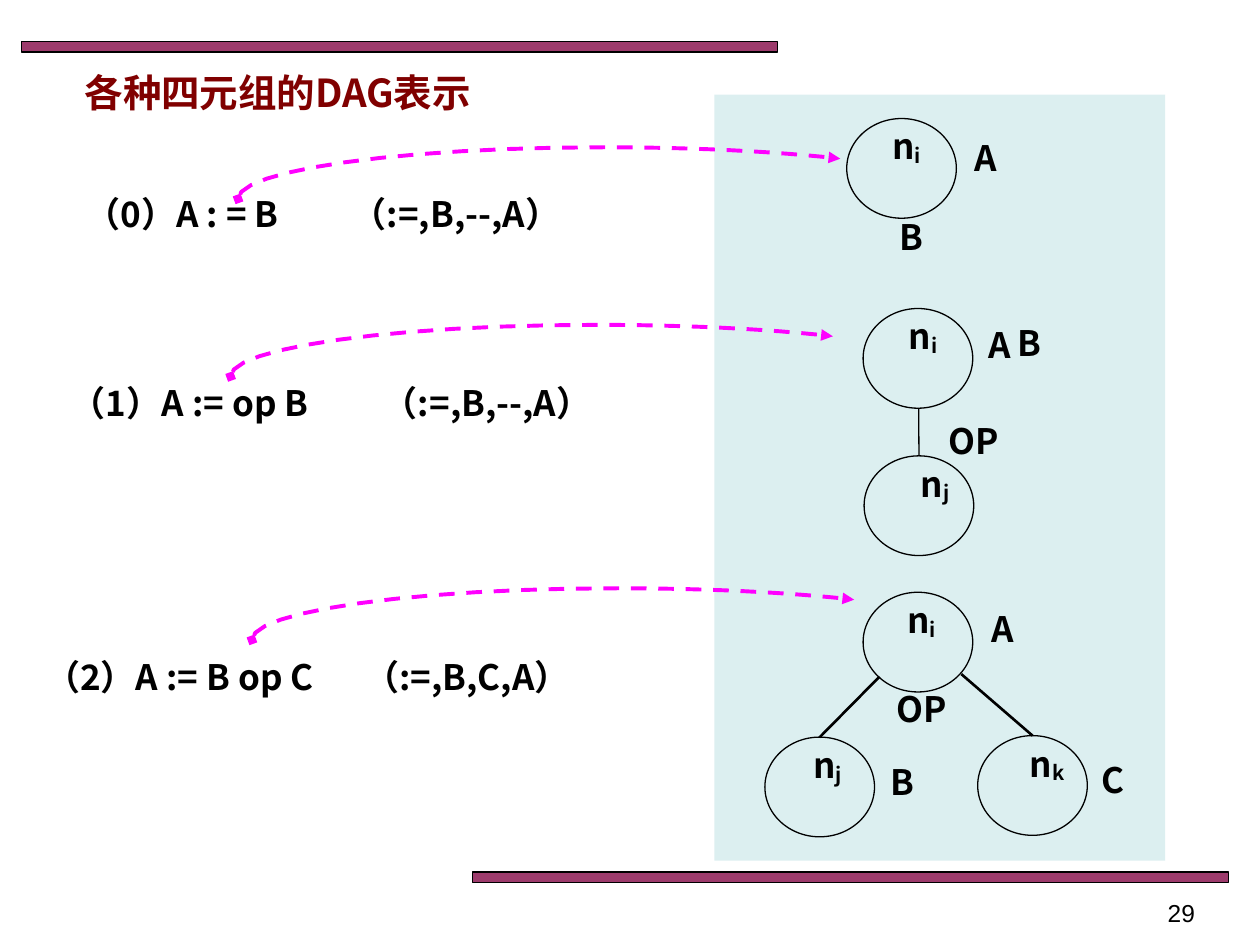
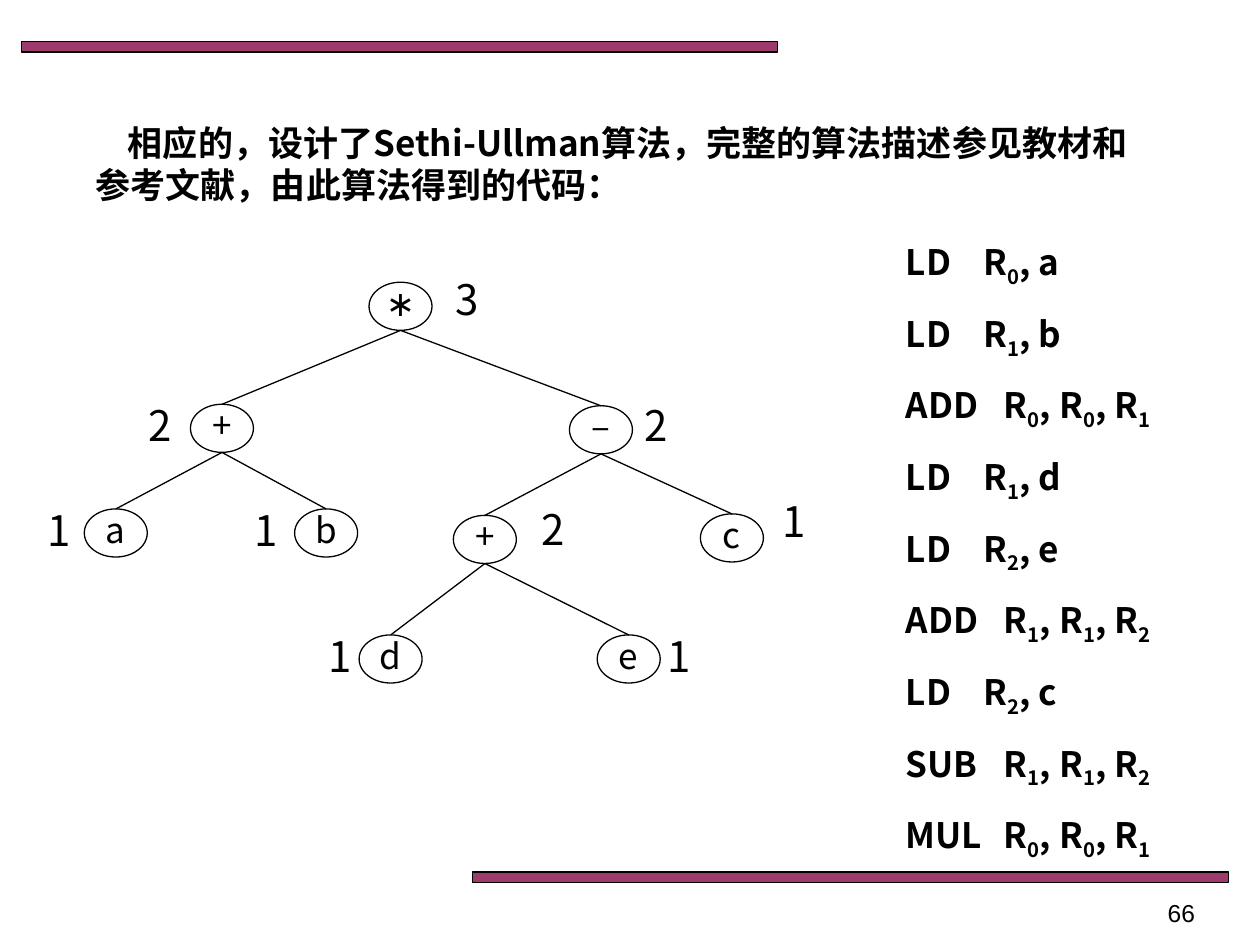
from dataclasses import dataclass
from typing import Optional

from lxml import etree
from pptx import Presentation
from pptx import util as u
from pptx.dml.color import RGBColor
from pptx.enum import dml, shapes, text
from pptx.oxml.ns import qn

FONT = "Noto Sans CJK SC"
BLACK, MAROON, PLUM = "000000", "800000", "993366"
PALE_TEAL, MAGENTA = "BBE0E3", "FF00FF"
LEFT, CENTER, RIGHT = text.PP_ALIGN.LEFT, text.PP_ALIGN.CENTER, text.PP_ALIGN.RIGHT
RECTANGLE, OVAL = shapes.MSO_SHAPE.RECTANGLE, shapes.MSO_SHAPE.OVAL
CURVE_STEPS = 12
CURVES = (
    ((0, 1.04), (0, 0.46), (3.3, 0), (7.37, 0)),
    ((7.37, 0), (9.12, 0), (10.8, 0.08), (12.14, 0.23)),
)


@dataclass
class Statement:
    code: str
    quadruple: str
    left: float
    top: float
    tab: float
    arrow_left: float
    arrow_top: float


@dataclass
class GraphNode:
    index: str
    left: float
    top: float
    symbol_center: float


@dataclass
class Label:
    words: str
    center: float
    top: float


@dataclass
class Edge:
    child: int
    start: tuple[float, float]
    width: float


@dataclass
class TreeNode:
    symbol: str
    left: float
    top: float
    weight: str
    weight_left: float
    weight_top: float
    parent: Optional[int] = None


STATEMENTS = [
    Statement("（0）A : = B", "（:=,B,--,A）", 1.73, 3.76, 5.36, 4.8, 2.97),
    Statement("（1）A := op B", "（:=,B,--,A）", 1.43, 7.57, 6.29, 4.65, 6.55),
    Statement("（2）A := B op C", "（:=,B,C,A）", 0.91, 13.08, 6.43, 5.08, 11.86),
]
GRAPH_NODES = [
    GraphNode("i", 17.07, 2.39, 18.28),
    GraphNode("i", 17.4, 6.22, 18.61),
    GraphNode("j", 17.42, 9.19, 18.85),
    GraphNode("i", 17.4, 11.94, 18.58),
    GraphNode("k", 19.71, 14.83, 21.11),
    GraphNode("j", 15.42, 14.86, 16.68),
]
LABELS = [
    Label("A", 19.88, 2.62),
    Label("B", 18.38, 4.22),
    Label("A", 20.15, 6.4),
    Label("B", 20.75, 6.35),
    Label("OP", 19.63, 8.33),
    Label("A", 20.21, 12.12),
    Label("OP", 18.59, 13.72),
    Label("B", 18.2, 15.21),
    Label("C", 22.44, 15.16),
]
EDGES = [
    Edge(2, (18.52, 8.23), 0.75),
    Edge(4, (19.38, 13.59), 1.5),
    Edge(5, (17.73, 13.64), 1.5),
]
TREE = [
    TreeNode("∗", 7.44, 5.69, "3", 8.94, 5.72),
    TreeNode("+", 3.84, 8.15, "2", 2.74, 8.26, 0),
    TreeNode("–", 11.48, 8.18, "2", 12.75, 8.26, 0),
    TreeNode("a", 1.7, 10.26, "1", 0.71, 10.36, 1),
    TreeNode("b", 5.94, 10.26, "1", 4.88, 10.36, 1),
    TreeNode("+", 9.14, 10.39, "2", 10.67, 10.34, 2),
    TreeNode("c", 14.12, 10.36, "1", 15.52, 10.19, 2),
    TreeNode("d", 7.24, 12.8, "1", 6.38, 12.9, 5),
    TreeNode("e", 12.04, 12.8, "1", 13.21, 12.9, 5),
]
INSTRUCTIONS = [
    ("LD", "R_0, a"),
    ("LD", "R_1, b"),
    ("ADD", "R_0, R_0, R_1"),
    ("LD", "R_1, d"),
    ("LD", "R_2, e"),
    ("ADD", "R_1, R_1, R_2"),
    ("LD", "R_2, c"),
    ("SUB", "R_1, R_1, R_2"),
    ("MUL", "R_0, R_0, R_1"),
]


def color(value: str) -> RGBColor:
    return RGBColor.from_string(value)


def write_para(para, words: str, *, size: float = 20, bold: bool = True, ink: str = BLACK,
               font: str = FONT, align=LEFT, spacing: float = 1.0, subscript: int = -25,
               tab: Optional[float] = None, indent: float = 0) -> None:
    para.alignment = align
    para.line_spacing = spacing
    properties = para._p.get_or_add_pPr()
    if indent:
        properties.set("indent", str(u.Cm(indent)))
    if tab is not None:
        stops = etree.SubElement(properties, qn("a:tabLst"))
        etree.SubElement(stops, qn("a:tab"), pos=str(u.Cm(tab)), algn="l")
    first, *rest = words.split("_")
    pieces = [(first, 0)]
    for part in rest:
        pieces += [(part[0], subscript), (part[1:], 0)]
    for piece, shift in pieces:
        if not piece:
            continue
        span = para.add_run()
        span.text = piece
        span.font.size = u.Pt(size)
        span.font.bold = bold
        span.font.name = font
        span.font.color.rgb = color(ink)
        run_properties = span._r.get_or_add_rPr()
        etree.SubElement(run_properties, qn("a:ea"), typeface=font)
        if shift:
            run_properties.set("baseline", str(shift * 1000))


def add_text(page, words: str, left: float, top: float, width: float, height: float,
             *, inset: float = 0.13, **style):
    box = page.shapes.add_textbox(u.Cm(left), u.Cm(top), u.Cm(width), u.Cm(height))
    frame = box.text_frame
    frame.word_wrap = True
    frame.margin_top = frame.margin_bottom = u.Cm(inset)
    write_para(frame.paragraphs[0], words, **style)
    return box


def add_figure(page, kind, left: float, top: float, width: float, height: float, *,
               fill: Optional[str] = None, opacity: int = 100, outline: Optional[str] = BLACK):
    figure = page.shapes.add_shape(kind, u.Cm(left), u.Cm(top), u.Cm(width), u.Cm(height))
    figure.shadow.inherit = False
    if fill:
        figure.fill.solid()
        figure.fill.fore_color.rgb = color(fill)
        tint = figure._element.spPr.find(".//" + qn("a:srgbClr"))
        etree.SubElement(tint, qn("a:alpha"), val=str(opacity * 1000))
    else:
        figure.fill.background()
    if outline:
        figure.line.color.rgb = color(outline)
        figure.line.width = u.Pt(0.75)
    else:
        figure.line.fill.background()
    return figure


def add_edge(page, start: tuple[int, int], child, width: float = 0.75) -> None:
    edge = page.shapes.add_connector(shapes.MSO_CONNECTOR.STRAIGHT, *start, child.left, child.top)
    edge.end_connect(child, 0)
    edge.line.color.rgb = color(BLACK)
    edge.line.width = u.Pt(width)
    etree.SubElement(edge._element.spPr, qn("a:effectLst"))


def curve_point(curve, t: float) -> tuple[float, float]:
    weights = ((1 - t) ** 3, 3 * t * (1 - t) ** 2, 3 * t * t * (1 - t), t ** 3)
    x, y = (sum(w * p[axis] for w, p in zip(weights, curve)) for axis in (0, 1))
    return x, y


def add_curved_arrow(page, left: float, top: float) -> None:
    points = [curve_point(CURVES[0], 0)]
    points += [curve_point(curve, step / CURVE_STEPS)
               for curve in CURVES for step in range(1, CURVE_STEPS + 1)]
    start, *others = [(u.Cm(left + x), u.Cm(top + y)) for x, y in points]
    builder = page.shapes.build_freeform(*start)
    builder.add_line_segments(others, close=False)
    arrow = builder.convert_to_shape()
    arrow.shadow.inherit = False
    arrow.fill.background()
    arrow.line.color.rgb = color(MAGENTA)
    arrow.line.width = u.Pt(2.25)
    arrow.line.dash_style = dml.MSO_LINE.DASH
    outline = arrow.line._get_or_add_ln()
    etree.SubElement(outline, qn("a:headEnd"), type="diamond")
    etree.SubElement(outline, qn("a:tailEnd"), type="triangle")


def add_page(deck, number: str):
    page = deck.slides.add_slide(deck.slide_layouts[6])
    for left, top in ((0.43, 0.84), (9.52, 17.58)):
        add_figure(page, RECTANGLE, left, top, 15.24, 0.21, fill=PLUM, opacity=96)
    add_text(page, number, 18.42, 17.98, 5.92, 0.69,
             size=14, bold=False, font="Arial", align=RIGHT)
    return page


def build_dag_page(deck) -> None:
    page = add_page(deck, "29")
    add_text(page, "各种四元组的DAG表示", 0.2, 1.27, 10.8, 1.19,
             size=22, ink=MAROON, align=CENTER)
    add_figure(page, RECTANGLE, 14.4, 1.91, 9.09, 15.44,
               fill=PALE_TEAL, opacity=50, outline=None)
    for row in STATEMENTS:
        add_text(page, f"{row.code}\t{row.quadruple}", row.left - 0.25, row.top, 12.8, 1.1,
                 tab=row.tab)
        add_curved_arrow(page, row.arrow_left, row.arrow_top)
    ovals = []
    for node in GRAPH_NODES:
        ovals.append(add_figure(page, OVAL, node.left, node.top, 2.21, 2.01))
        add_text(page, f"n_{node.index}", node.symbol_center - 1, node.top, 2, 1.12,
                 align=CENTER, subscript=-10)
    for label in LABELS:
        add_text(page, label.words, label.center - 1, label.top, 2, 1.12, align=CENTER)
    for edge in EDGES:
        x, y = edge.start
        add_edge(page, (u.Cm(x), u.Cm(y)), ovals[edge.child], edge.width)


def build_code_page(deck) -> None:
    page = add_page(deck, "66")
    add_text(page, "相应的，设计了Sethi-Ullman算法，完整的算法描述参见教材和参考文献，"
                   "由此算法得到的代码：", 1.68, 2.31, 21.41, 1.96, indent=0.65)
    listing = add_text(page, "", 18.01, 4.24, 6.12, 11.61).text_frame
    for number, (operation, operands) in enumerate(INSTRUCTIONS):
        para = listing.add_paragraph() if number else listing.paragraphs[0]
        write_para(para, f"{operation}\t{operands}", spacing=1.5,
                   tab=1.57 if operation == "LD" else 1.98)
    ovals = []
    for node in TREE:
        oval = add_figure(page, OVAL, node.left, node.top, 1.27, 0.97)
        frame = oval.text_frame
        frame.word_wrap = False
        frame.margin_top = frame.margin_bottom = 0
        frame.vertical_anchor = text.MSO_ANCHOR.MIDDLE
        write_para(frame.paragraphs[0], node.symbol, bold=False, align=CENTER, spacing=0.8)
        add_text(page, node.weight, node.weight_left, node.weight_top, 1, 0.81,
                 inset=0, size=24, bold=False, spacing=0.8)
        if node.parent is not None:
            parent = ovals[node.parent]
            add_edge(page, (parent.left + parent.width // 2, parent.top + parent.height), oval)
        ovals.append(oval)


def main() -> None:
    deck = Presentation()
    deck.slide_width, deck.slide_height = u.Cm(25.4), u.Cm(19.05)
    build_dag_page(deck)
    build_code_page(deck)
    deck.save("out.pptx")


if __name__ == "__main__":
    main()
